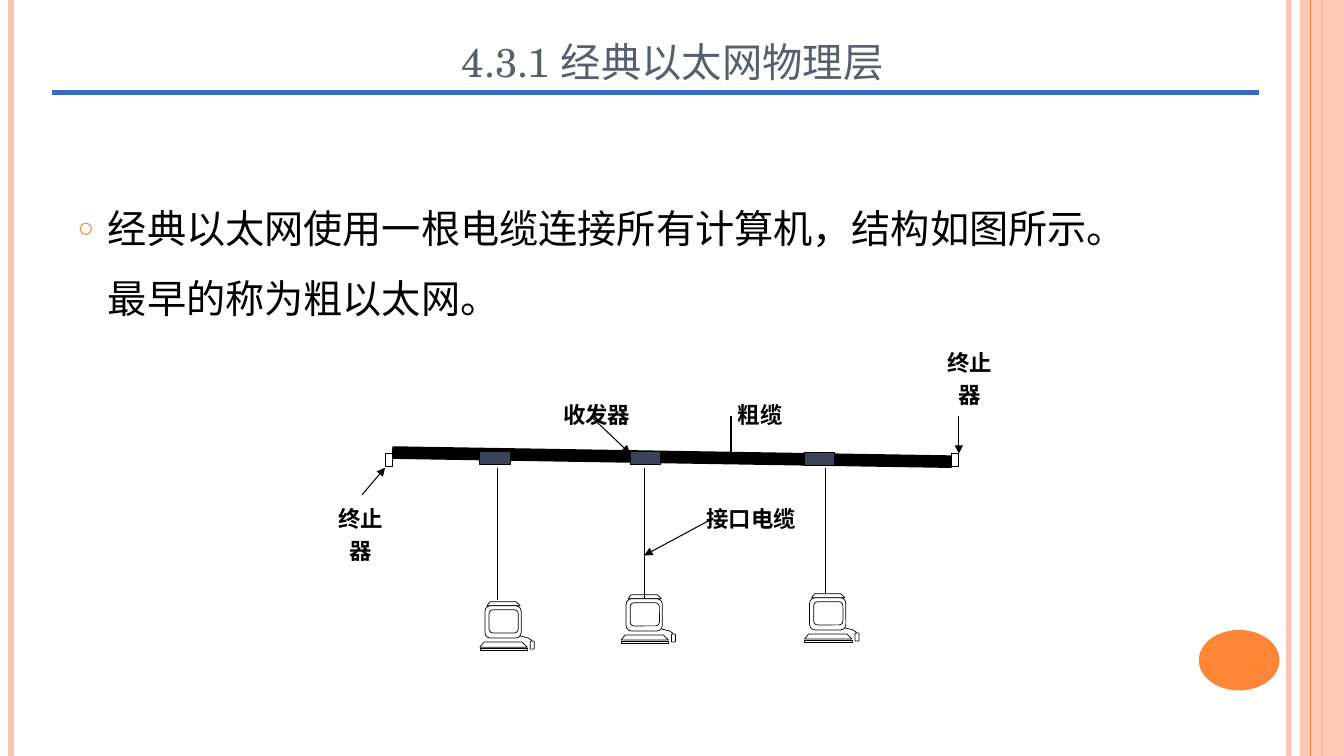
"""Build the slide on the physical layer of classic Ethernet."""
from lxml.etree import SubElement as Sub
from pptx import Presentation
from pptx.dml.color import RGBColor
from pptx.enum.shapes import MSO_CONNECTOR as Conn, MSO_SHAPE as Kind
from pptx.enum.text import MSO_ANCHOR as Anchor, MSO_AUTO_SIZE as Auto, PP_ALIGN as Align
from pptx.oxml.ns import qn
from pptx.util import Cm, Pt

PEACH = RGBColor(0xFE, 0xC3, 0xAE)
ORANGE = RGBColor(0xFE, 0x86, 0x37)
SLATE = RGBColor(0x57, 0x5F, 0x6D)
NAVY = RGBColor(0x3B, 0x43, 0x5B)
BLUE = RGBColor(0x36, 0x68, 0xC4)
BLACK = RGBColor(0, 0, 0)
WHITE = RGBColor(0xFF, 0xFF, 0xFF)
SERIF, SANS = "TeX Gyre Schola", "Arial"
WIDE, HIGH = 13.33, 7.5

TITLE = "4.3.1 经典以太网物理层"
BODY = "经典以太网使用一根电缆连接所有计算机，结构如图所示。最早的称为粗以太网。"
LABELS = [
    ("终止器", (3.25, 4.91, 0.65, 1.07)),
    ("终止器", (9.29, 3.36, 0.65, 1.07)),
    ("粗缆", (7.04, 3.88, 1, 0.42)),
    ("收发器", (5.3, 3.88, 1.24, 0.42)),
    ("接口电缆", (6.86, 4.91, 1.18, 0.42)),
]
ARROWS = [
    (3.59, 4.91, 3.82, 4.64),
    (9.51, 4.13, 9.51, 4.5),
    (7.25, 4.13, 7.25, 4.58),
    (5.86, 4.13, 6.25, 4.5),
    (7.04, 5.16, 6.39, 5.51),
]
BARS = [(12.78, PEACH, 3), (0.11, PEACH, 4.5), (13.11, ORANGE, 1.5)]
ENDS = [3.82, 9.44]
TAPS = [(4.76, 4.48), (6.25, 4.48), (7.98, 4.49)]
HOSTS = [(4.76, 5.97), (7.98, 5.89), (6.16, 5.9)]
DROPS = [(4.93, 5.95), (6.39, 5.94), (8.19, 5.89)]
CORD = [(0.4, 0.34), (0.44, 0.35), (0.48, 0.36), (0.51, 0.38), (0.52, 0.4)]
KEYS = [(0, 0.45), (0.04, 0.4), (0.42, 0.4), (0.47, 0.45)]
SLAB = [(0, 0.46), (0.47, 0.46), (0.47, 0.48), (0, 0.48)]
LID = [(0.07, 0.04), (0.1, 0), (0.36, 0), (0.4, 0.04)]
MOUSE = (0.5, 0.39, 0.04, 0.08, 0.23)
CASE = (0.05, 0.04, 0.36, 0.32, 0.17)
GLASS = (0.09, 0.08, 0.29, 0.23, 0.17)


def size(val):
    """Turn inches into a length."""
    return Cm(val * 2.54)


def place(item, box):
    """Move an item to a box."""
    item.left, item.top, item.width, item.height = map(size, box)


def write(frame, text, font=SANS, pt=16, color=BLACK, bold=False,
          align=Align.CENTER, space=1.2, anchor=Anchor.TOP):
    """Put formatted text in a frame and return its paragraph."""
    frame.word_wrap = True
    frame.auto_size = Auto.NONE
    frame.vertical_anchor = anchor
    para = frame.paragraphs[0]
    para.alignment, para.line_spacing = align, space
    run = para.add_run()
    run.text = text
    run.font.name, run.font.size, run.font.bold = font, Pt(pt), bold
    run.font.color.rgb = color
    return para


def line(x1, y1, x2, y2, color=BLACK, pt=0.75, arrow=False):
    """Draw a straight line, with an arrowhead if asked."""
    item = slide.shapes.add_connector(Conn.STRAIGHT, *map(size, (x1, y1, x2, y2)))
    item.line.color.rgb, item.line.width = color, Pt(pt)
    if arrow:
        Sub(item.line._get_or_add_ln(), qn("a:tailEnd"), type="triangle")
    Sub(item._element.spPr, qn("a:effectLst"))


def paint(item, fill=None, edge=BLACK, pt=0.75):
    """Set the fill and outline of a shape."""
    item.shadow.inherit = False
    if fill is None:
        item.fill.background()
    else:
        item.fill.solid()
        item.fill.fore_color.rgb = fill
    if edge is None:
        item.line.fill.background()
    else:
        item.line.color.rgb, item.line.width = edge, Pt(pt)
    return item


def block(kind, box, **look):
    """Draw a preset shape on the slide."""
    return paint(slide.shapes.add_shape(kind, *map(size, box)), **look)


def host(left, top):
    """Draw one computer as a group."""
    parts = slide.shapes.add_group_shape().shapes

    def outline(dots, close=True):
        """Draw a polygon or an open curve."""
        spots = [(size(left + x), size(top + y)) for x, y in dots]
        pen = parts.build_freeform(*spots[0])
        pen.add_line_segments(spots[1:], close=close)
        paint(pen.convert_to_shape(), fill=WHITE, pt=0.5)

    def round_box(x, y, wide, high, bend):
        """Draw a rounded box."""
        box = map(size, (left + x, top + y, wide, high))
        item = parts.add_shape(Kind.ROUNDED_RECTANGLE, *box)
        item.adjustments[0] = bend
        paint(item, fill=WHITE, pt=0.5)

    outline(CORD, close=False)
    round_box(*MOUSE)
    for dots in (KEYS, SLAB, LID):
        outline(dots)
    round_box(*CASE)
    round_box(*GLASS)


deck = Presentation()
deck.slide_width, deck.slide_height = size(WIDE), size(HIGH)
slide = deck.slides.add_slide(deck.slide_layouts[1])

for x, color, pt in BARS:
    line(x, 0, x, HIGH, color, pt)
band = block(Kind.RECTANGLE, (12.89, 0, 0.44, HIGH), fill=PEACH, edge=None)
tint = band._element.spPr.find(qn("a:solidFill"))[0]
Sub(tint, qn("a:alpha"), val="87000")
line(13, 0, 13, HIGH, ORANGE)
block(Kind.OVAL, (11.89, 6.25, 0.8, 0.6), fill=ORANGE, edge=None)

title, body = slide.placeholders
place(title, (2.22, 0.29, 8.9, 0.63))
head = write(title.text_frame, TITLE, font=SERIF, pt=36, color=SLATE,
             space=1.0, anchor=Anchor.BOTTOM)
head.runs[0].font._element.set("cap", "small")
place(body, (0.67, 1.75, 10.89, 5.33))
para = write(body.text_frame, BODY, font=SERIF, pt=28, align=Align.LEFT, space=Pt(50))
para.space_before = Pt(6)
props = para._p.get_or_add_pPr()
props.set("marL", str(size(0.3)))
props.set("indent", str(-size(0.3)))
Sub(Sub(props, qn("a:buClr")), qn("a:srgbClr"), val=str(ORANGE))
Sub(props, qn("a:buSzPct"), val="70000")
Sub(props, qn("a:buChar"), char="○")

line(3.89, 4.49, 9.44, 4.58, pt=9)
for x in ENDS:
    block(Kind.RECTANGLE, (x, 4.5, 0.07, 0.13))
for x, y in TAPS:
    block(Kind.RECTANGLE, (x, y, 0.3, 0.13), fill=NAVY)
for spot in HOSTS:
    host(*spot)
for x, end in DROPS:
    line(x, 4.64, x, end)
for text, box in LABELS:
    label = slide.shapes.add_textbox(*map(size, box))
    write(label.text_frame, text, bold=True)
for ends in ARROWS:
    line(*ends, arrow=True)
line(0.52, 0.92, 12.49, 0.92, BLUE, 3.5)

deck.save("out.pptx")
